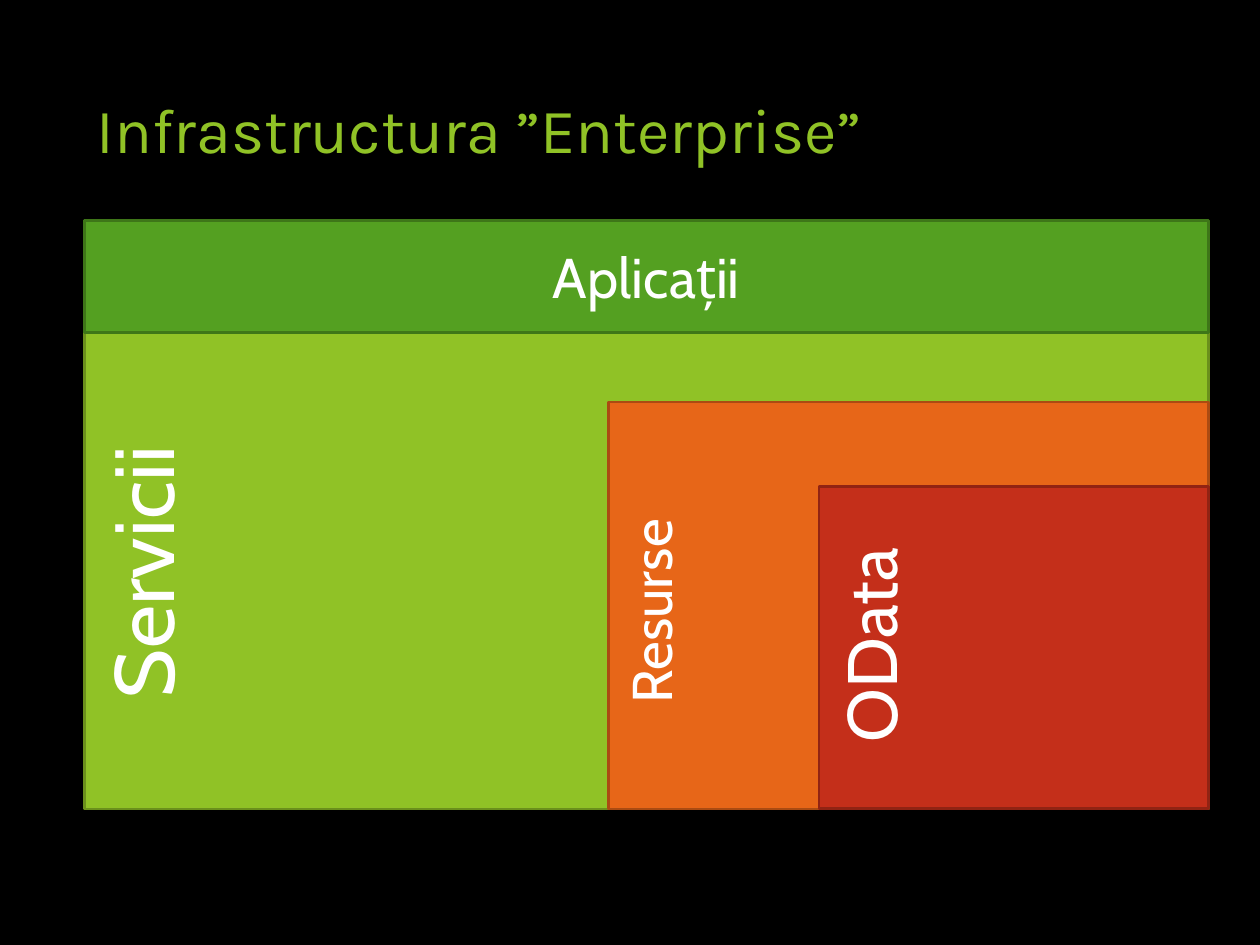
import pptx
import pptx.util
import pptx.dml.color
import pptx.enum.shapes
import pptx.enum.text

RGB = pptx.dml.color.RGBColor
Inches = pptx.util.Inches
Pt = pptx.util.Pt
ANCHOR = pptx.enum.text.MSO_ANCHOR
ALIGN = pptx.enum.text.PP_ALIGN

BLACK = RGB(0x00, 0x00, 0x00)
WHITE = RGB(0xFF, 0xFF, 0xFF)
LIME = RGB(0x90, 0xC2, 0x26)
LIME_EDGE = RGB(0x6B, 0x90, 0x1C)
GREEN = RGB(0x54, 0xA0, 0x21)
GREEN_EDGE = RGB(0x3E, 0x76, 0x18)
ORANGE = RGB(0xE7, 0x66, 0x18)
ORANGE_EDGE = RGB(0xAB, 0x4B, 0x12)
RED = RGB(0xC4, 0x2F, 0x1A)
RED_EDGE = RGB(0x91, 0x23, 0x13)

LEFT, RIGHT = 0.67, 9.59
TOP, SPLIT, BOTTOM = 1.75, 2.64, 6.42

TITLE = "Infrastructura ”Enterprise”"
APPLICATIONS = "Aplicații"
LAYERS = [
    {"corner": (LEFT, SPLIT), "fill": LIME, "edge": LIME_EDGE,
     "label": "Servicii", "size": 48, "label_at": (0.67, 2.67, 1.01, 3.74)},
    {"corner": (4.83, 3.19), "fill": ORANGE, "edge": ORANGE_EDGE,
     "label": "Resurse", "size": 32, "label_at": (4.84, 3.31, 0.74, 3.08)},
    {"corner": (6.5, 3.86), "fill": RED, "edge": RED_EDGE,
     "label": "OData", "size": 40, "label_at": (6.52, 3.86, 0.88, 2.52)},
]


def write(s, text, font, size, color, align, anchor):
    tf = s.text_frame
    tf.word_wrap = True
    tf.vertical_anchor = anchor
    p = tf.paragraphs[0]
    p.alignment = align
    r = p.add_run()
    r.text = text
    r.font.name = font
    r.font.size = Pt(size)
    r.font.color.rgb = color


def add_panel(slide, left, top, bottom, fill, edge):
    s = slide.shapes.add_shape(
        pptx.enum.shapes.MSO_SHAPE.RECTANGLE,
        Inches(left), Inches(top), Inches(RIGHT - left), Inches(bottom - top))
    s.shadow.inherit = False
    s.fill.solid()
    s.fill.fore_color.rgb = fill
    s.line.color.rgb = edge
    s.line.width = Pt(1.5)
    return s


def add_text(slide, at, text, font, size, color, align):
    s = slide.shapes.add_textbox(*map(Inches, at))
    write(s, text, font, size, color, align, ANCHOR.TOP)
    return s


def add_layer(slide, layer):
    add_panel(slide, *layer["corner"], BOTTOM, layer["fill"], layer["edge"])
    s = add_text(slide, layer["label_at"], layer["label"], "Cabin",
                 layer["size"], WHITE, ALIGN.CENTER)
    s.text_frame._txBody.bodyPr.set("vert", "vert270")


def main():
    prs = pptx.Presentation()
    prs.slide_width, prs.slide_height = Inches(10), Inches(7.5)
    slide = prs.slides.add_slide(prs.slide_layouts[6])
    slide.background.fill.solid()
    slide.background.fill.fore_color.rgb = BLACK

    add_text(slide, (LEFT, 0.67, 6.94, 1), TITLE, "Karla", 36, LIME, ALIGN.LEFT)
    services, *inner_layers = LAYERS
    add_layer(slide, services)
    s = add_panel(slide, LEFT, TOP, SPLIT, GREEN, GREEN_EDGE)
    write(s, APPLICATIONS, "Cabin", 32, WHITE, ALIGN.CENTER, ANCHOR.MIDDLE)
    for layer in inner_layers:
        add_layer(slide, layer)

    prs.save("out.pptx")


if __name__ == "__main__":
    main()
